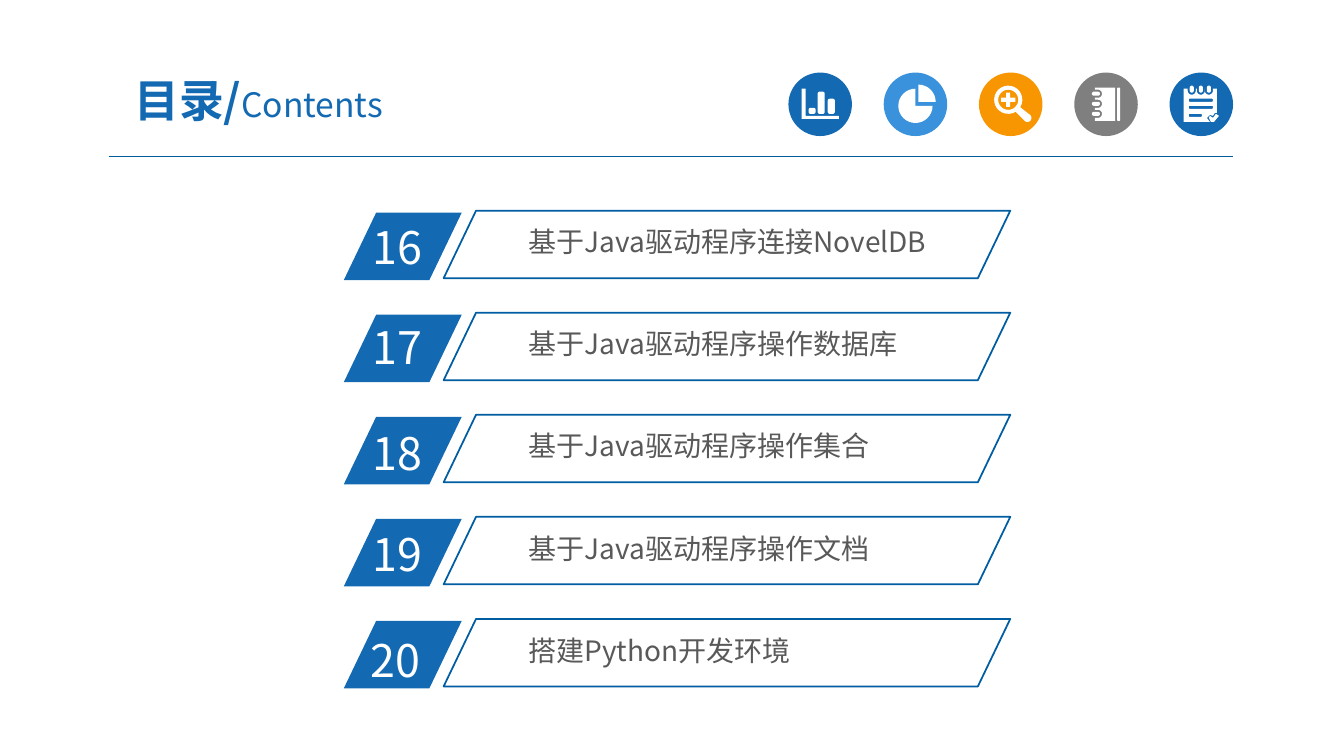
from dataclasses import dataclass
from math import cos, sin, radians
from pptx import Presentation
from pptx.dml.color import RGBColor
from pptx.enum.shapes import MSO_CONNECTOR, MSO_SHAPE
from pptx.enum.text import MSO_ANCHOR, MSO_AUTO_SIZE, PP_ALIGN
from pptx.oxml.ns import qn
from pptx.util import Inches, Pt


@dataclass(frozen=True)
class Theme:
    """Colours, font and type sizes of the slide."""
    blue: str = "1369B2"
    sky: str = "3992DB"
    amber: str = "F79600"
    grey: str = "7F7F7F"
    rule: str = "005B9E"
    edge: str = "005DA2"
    ink: str = "595959"
    white: str = "FFFFFF"
    font: str = "Noto Sans CJK SC"
    big: int = 32
    mid: int = 24
    body: int = 20


THEME = Theme()
TITLE = [("目录/", THEME.big, True), ("Contents", THEME.mid, False)]
ROWS = [
    ("16", (3.6, 2.13), "基于Java驱动程序连接NovelDB", 4.96),
    ("17", (3.6, 3.12), "基于Java驱动程序操作数据库", 4.12),
    ("18", (3.6, 4.17), "基于Java驱动程序操作集合", 4.12),
    ("19", (3.6, 5.18), "基于Java驱动程序操作文档", 4.12),
    ("20", (3.58, 6.23), "搭建Python开发环境", 4.12),
]
TOP, PITCH = 2.09, 4.05 / 4
SLANT = 0.48


def arc(x, y, r, a, b, n=24):
    """Return points along a circle from angle a to angle b."""
    turns = [radians(a + (b - a) * i / n) for i in range(n + 1)]
    return [(x + r * cos(t), y + r * sin(t)) for t in turns]


def pill(l, t, r, b, c):
    """Return the outline of a box with corners of radius c."""
    return (arc(r - c, t + c, c, -90, 0, 6) + arc(r - c, b - c, c, 0, 90, 6)
            + arc(l + c, b - c, c, 90, 180, 6) + arc(l + c, t + c, c, 180, 270, 6))


def bars():
    """Return the outlines of the bar chart icon."""
    axes = [(7.95, 0.88), (7.99, 0.88), (7.99, 1.15), (8.32, 1.15), (8.32, 1.18), (7.95, 1.18)]
    cols = [(8.02, 1.07), (8.11, 0.91), (8.21, 0.98)]
    return [axes] + [pill(x, y, x + 0.07, 1.13, 0.02) for x, y in cols]


def pie():
    """Return the outlines of the pie icon."""
    return [[(9.11, 1.01)] + arc(9.11, 1.01, 0.17, -90, 0),
            [(9.08, 1.05)] + arc(9.08, 1.05, 0.17, 0, 270)]


def lens():
    """Return the outlines of the magnifier icon."""
    x, y, a, b = 10, 0.99, 0.07, 0.02
    rim = arc(x, y, 0.14, 58, 392) + arc(10.19, 1.17, 0.04, -45, 135)
    steps = [(-b, -a), (b, -a), (b, -b), (a, -b), (a, b), (b, b),
             (b, a), (-b, a), (-b, b), (-a, b), (-a, -b), (-b, -b)]
    return [rim, arc(x, y, 0.1, 0, 360), [(x + p, y + q) for p, q in steps]]


def book():
    """Return the outlines of the notebook icon."""
    rings = [1.13, 1.03, 0.93]
    page = [(10.86, 0.87), (11.06, 0.87), (11.06, 1.2), (10.86, 1.2)]
    for y in rings:
        page += [(10.86, y + 0.04)] + arc(10.89, y, 0.04, 90, -90) + [(10.86, y - 0.04)]
    return [page, pill(11.08, 0.87, 11.11, 1.2, 0.01)] + [
        pill(10.83, y - 0.02, 10.91, y + 0.02, 0.02) for y in rings]


def pad():
    """Return the outlines of the checklist icon."""
    rings = [11.82, 11.91, 11.99]
    page = [(11.74, 0.88)]
    for x in rings:
        page += [(x - 0.04, 0.88)] + arc(x, 0.9, 0.04, 180, 0) + [(x + 0.04, 0.88)]
    page += [(12.07, 0.88), (12.07, 1.12), (12.05, 1.12), (12.03, 1.15), (12, 1.14),
             (11.97, 1.17), (12, 1.21), (11.74, 1.21)]
    tick = [(12.09, 1.15), (12.04, 1.21), (12.01, 1.21), (11.99, 1.17),
            (12, 1.15), (12.03, 1.17), (12.06, 1.13)]
    lines = [(0.98, 12.03), (1.05, 12.03), (1.13, 11.92)]
    return [page, tick] + [pill(x - 0.02, 0.85, x + 0.02, 0.92, 0.02) for x in rings] + [
        pill(11.79, y, r, y + 0.03, 0.01) for y, r in lines]


ICONS = [(bars, THEME.blue), (pie, THEME.sky), (lens, THEME.amber),
         (book, THEME.grey), (pad, THEME.blue)]


def paint(shape, fill=None, edge=None):
    """Set the fill and outline of a shape and drop its shadow."""
    shape.shadow.inherit = False
    if fill:
        shape.fill.solid()
        shape.fill.fore_color.rgb = RGBColor.from_string(fill)
    else:
        shape.fill.background()
    if edge:
        shape.line.color.rgb = RGBColor.from_string(edge)
        shape.line.width = Pt(1.25)
    else:
        shape.line.fill.background()


def style(run, size, tint, bold=False):
    """Set the font of a run for Latin and East Asian text."""
    font = run.font
    font.size, font.bold, font.name = Pt(size), bold, THEME.font
    font.color.rgb = RGBColor.from_string(tint)
    east = run._r.get_or_add_rPr().makeelement(qn("a:ea"), {"typeface": THEME.font})
    run._r.rPr.find(qn("a:latin")).addnext(east)


def inset(frame, x, y):
    """Set equal side and equal top and bottom margins."""
    frame.margin_left = frame.margin_right = Inches(x)
    frame.margin_top = frame.margin_bottom = Inches(y)


def place(shapes, kind, *box):
    """Add a preset shape at a box given in inches."""
    return shapes.add_shape(kind, *map(Inches, box))


def label(shapes, text, box, size, tint, gaps):
    """Add a wrapping text box that grows with its text."""
    frame = shapes.add_textbox(*map(Inches, box)).text_frame
    frame.text = text
    frame.word_wrap = True
    frame.auto_size = MSO_AUTO_SIZE.SHAPE_TO_FIT_TEXT
    inset(frame, *gaps)
    style(frame.paragraphs[0].runs[0], size, tint)


def trace(shapes, paths):
    """Add one white freeform made of closed outlines."""
    paths = [[(Inches(x), Inches(y)) for x, y in p] for p in paths]
    pen = shapes.build_freeform(*paths[0][0], scale=1.0)
    for part in paths:
        pen.move_to(*part[0])
        pen.add_line_segments(part[1:], close=True)
    paint(pen.convert_to_shape(), THEME.white)


def head(shapes):
    """Draw the title, the rule and the row of icons."""
    title = shapes.title
    title.left, title.top, title.width, title.height = map(Inches, (0.92, 0.63, 3.29, 0.72))
    frame = title.text_frame
    frame.auto_size = MSO_AUTO_SIZE.NONE
    frame.vertical_anchor = MSO_ANCHOR.MIDDLE
    inset(frame, 0.13, 0.07)
    para = frame.paragraphs[0]
    para.alignment = PP_ALIGN.CENTER
    for text, size, bold in TITLE:
        run = para.add_run()
        run.text = text
        style(run, size, THEME.blue, bold)
    rule = shapes.add_connector(MSO_CONNECTOR.STRAIGHT, *map(Inches, (1.08, 1.55, 12.23, 1.55)))
    rule.line.color.rgb = RGBColor.from_string(THEME.rule)
    rule.line.width = Pt(0.75)
    props = rule._element.spPr
    props.append(props.makeelement(qn("a:effectLst"), {}))
    for i, (draw, tint) in enumerate(ICONS):
        paint(place(shapes, MSO_SHAPE.OVAL, 7.82 + i * 3.78 / 4, 0.72, 0.63, 0.63), tint)
        trace(shapes, draw())


def main():
    """Build the contents slide and save it."""
    deck = Presentation()
    deck.slide_width, deck.slide_height = Inches(13.33), Inches(7.5)
    shapes = deck.slides.add_slide(deck.slide_layouts[5]).shapes
    head(shapes)
    for i, (num, spot, text, wide) in enumerate(ROWS):
        top = TOP + i * PITCH
        tag = place(shapes, MSO_SHAPE.PARALLELOGRAM, 3.41, top + 0.02, 1.17, 0.67)
        paint(tag, THEME.blue)
        label(shapes, num, (*spot, 1.12, 0.64), THEME.big, THEME.white, (0.1, 0.05))
        label(shapes, text, (5.17, top + 0.1, wide, 0.41), THEME.body, THEME.ink, (0.07, 0.04))
        bar = place(shapes, MSO_SHAPE.PARALLELOGRAM, 4.4, top, 5.62, 0.67)
        paint(bar, edge=THEME.edge)
        tag.adjustments[0] = bar.adjustments[0] = SLANT
    deck.save("out.pptx")


if __name__ == "__main__":
    main()
